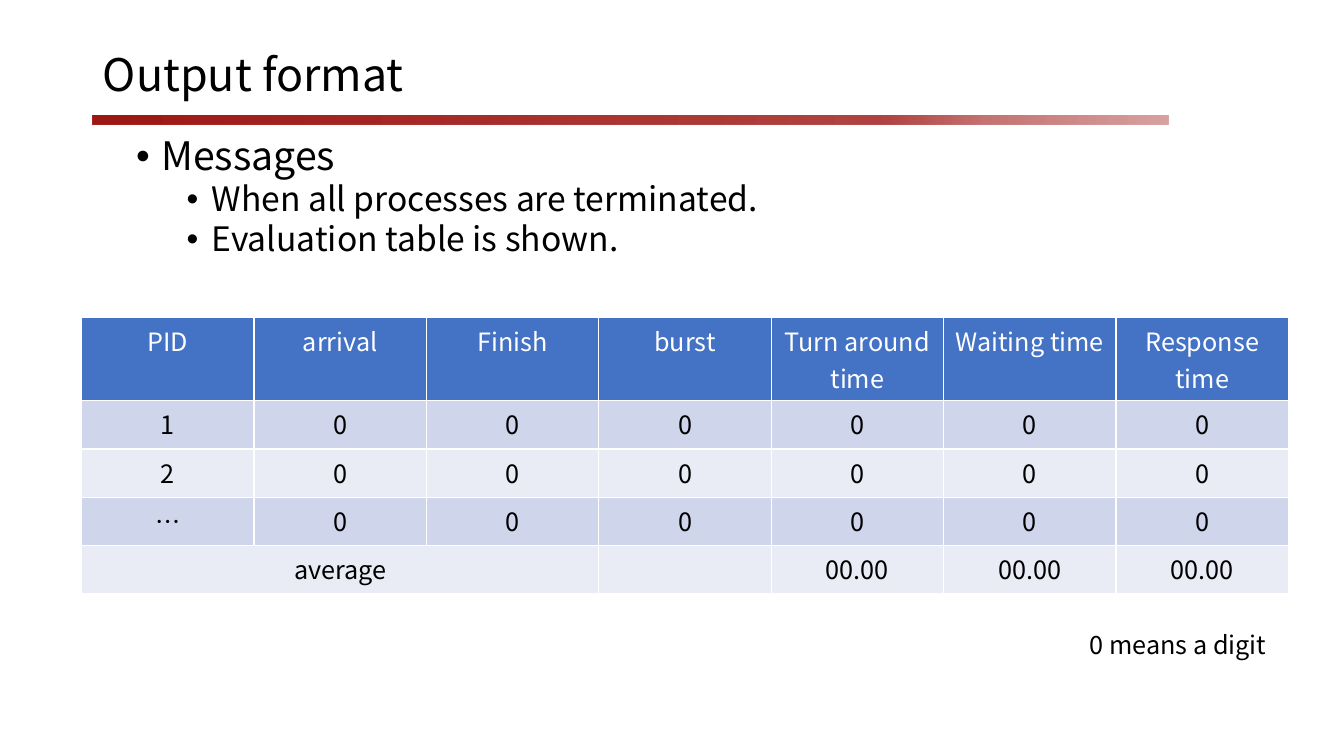
from lxml.etree import SubElement
from pptx import Presentation
from pptx.dml.color import RGBColor
from pptx.enum.shapes import MSO_SHAPE
from pptx.enum.text import MSO_ANCHOR, MSO_AUTO_SIZE, PP_ALIGN
from pptx.oxml import parse_xml
from pptx.oxml.ns import nsdecls, qn
from pptx.util import Inches, Pt

FONT = "Noto Sans CJK KR"
BLACK = RGBColor(0x00, 0x00, 0x00)
WHITE = RGBColor(0xFF, 0xFF, 0xFF)
RED = RGBColor(0x9E, 0x18, 0x15)
HEADER_BLUE = RGBColor(0x44, 0x72, 0xC4)
BANDS = [RGBColor(0xCF, 0xD5, 0xEA), RGBColor(0xE9, 0xEB, 0xF5)]

TITLE = "Output format"
NOTE = "0 means a digit"
# level, text, size, left indent in inches, space before in points
BULLETS = [
    (0, "Messages", 28, 0.25, 10),
    (1, "When all processes are terminated.", 24, 0.75, 2.5),
    (1, "Evaluation table is shown.", 24, 0.75, 2.5),
]
HEADERS = ["PID", "arrival", "Finish", "burst",
           "Turn around time", "Waiting time", "Response time"]
ROWS = [HEADERS] + [[pid] + ["0"] * 6 for pid in ("1", "2", "…")]
ROWS.append(["average", "", "", ""] + ["00.00"] * 3)
ROW_HEIGHTS = [0.82] + [0.48] * 4
COLUMN_WIDTH = 1.71
# position and opacity, both in percent
FADE = [(0, 100), (74, 80), (83, 60), (100, 40)]


def place(shape, left, top, width, height):
    shape.left, shape.top = Inches(left), Inches(top)
    shape.width, shape.height = Inches(width), Inches(height)


def add_span(para, text, size, color=BLACK):
    span = para.add_run()
    span.text = text
    span.font.size = Pt(size)
    span.font.bold = False
    span.font.color.rgb = color
    span.font.name = FONT
    SubElement(span.font._element, qn("a:ea"), typeface=FONT)


def add_bullet(para, indent):
    props = para._p.get_or_add_pPr()
    props.set("marL", str(Inches(indent)))
    props.set("indent", str(-Inches(0.25)))
    SubElement(props, qn("a:buFont"), typeface="Arial")
    SubElement(props, qn("a:buChar"), char="•")


def add_fading_rule(page):
    rule = page.shapes.add_shape(MSO_SHAPE.RECTANGLE, Inches(0.92), Inches(1.15),
                                 Inches(10.67), Inches(0.09))
    rule.shadow.inherit = False
    rule.line.fill.background()
    stops = "".join(
        f'<a:gs pos="{position * 1000}"><a:srgbClr val="{RED}">'
        f'<a:alpha val="{opacity * 1000}"/></a:srgbClr></a:gs>'
        for position, opacity in FADE)
    gradient = parse_xml(f'<a:gradFill {nsdecls("a")} rotWithShape="1">'
                         f'<a:gsLst>{stops}</a:gsLst><a:lin ang="0" scaled="0"/></a:gradFill>')
    rule._element.spPr.find(qn("a:prstGeom")).addnext(gradient)


def fill_cell(cell, color):
    """Give the cell white borders, then its fill, in schema order."""
    props = cell._tc.get_or_add_tcPr()
    for side in ("lnL", "lnR", "lnT", "lnB"):
        line = SubElement(props, qn(f"a:{side}"), w=str(Pt(1)))
        solid = SubElement(line, qn("a:solidFill"))
        SubElement(solid, qn("a:srgbClr"), val=str(WHITE))
    cell.fill.solid()
    cell.fill.fore_color.rgb = color


def add_evaluation_table(page):
    table = page.shapes.add_table(
        len(ROWS), len(HEADERS), Inches(0.81), Inches(3.15),
        Inches(COLUMN_WIDTH * len(HEADERS)), Inches(sum(ROW_HEIGHTS))).table
    for column in table.columns:
        column.width = Inches(COLUMN_WIDTH)
    for r, texts in enumerate(ROWS):
        table.rows[r].height = Inches(ROW_HEIGHTS[r])
        for c, text in enumerate(texts):
            cell = table.cell(r, c)
            fill_cell(cell, BANDS[(r - 1) % 2] if r else HEADER_BLUE)
            para = cell.text_frame.paragraphs[0]
            para.alignment = PP_ALIGN.CENTER
            if text:
                add_span(para, text, 18, BLACK if r else WHITE)
    last = len(ROWS) - 1
    table.cell(last, 0).merge(table.cell(last, 2))


def main():
    deck = Presentation()
    deck.slide_width, deck.slide_height = Inches(13.33), Inches(7.5)
    page = deck.slides.add_slide(deck.slide_layouts[1])
    add_fading_rule(page)

    title, body = page.placeholders
    place(title, 0.92, 0.4, 11.5, 0.73)
    place(body, 1.25, 1.31, 10.46, 4.96)
    for box in (title, body):
        box.text_frame.auto_size = MSO_AUTO_SIZE.NONE
        box.text_frame.word_wrap = True
    title.text_frame.vertical_anchor = MSO_ANCHOR.MIDDLE
    para = title.text_frame.paragraphs[0]
    para.alignment = PP_ALIGN.LEFT
    para.line_spacing = 0.9
    add_span(para, TITLE, 32)

    for i, (level, text, size, indent, space) in enumerate(BULLETS):
        frame = body.text_frame
        para = frame.add_paragraph() if i else frame.paragraphs[0]
        para.level = level
        para.line_spacing = 0.9
        para.space_before = Pt(space)
        add_bullet(para, indent)
        add_span(para, text, size)

    add_evaluation_table(page)

    note = page.shapes.add_textbox(Inches(10.71), Inches(6.19), Inches(2), Inches(0.4))
    note.text_frame.word_wrap = False
    note.text_frame.auto_size = MSO_AUTO_SIZE.SHAPE_TO_FIT_TEXT
    add_span(note.text_frame.paragraphs[0], NOTE, 18)

    deck.save("out.pptx")


if __name__ == "__main__":
    main()
